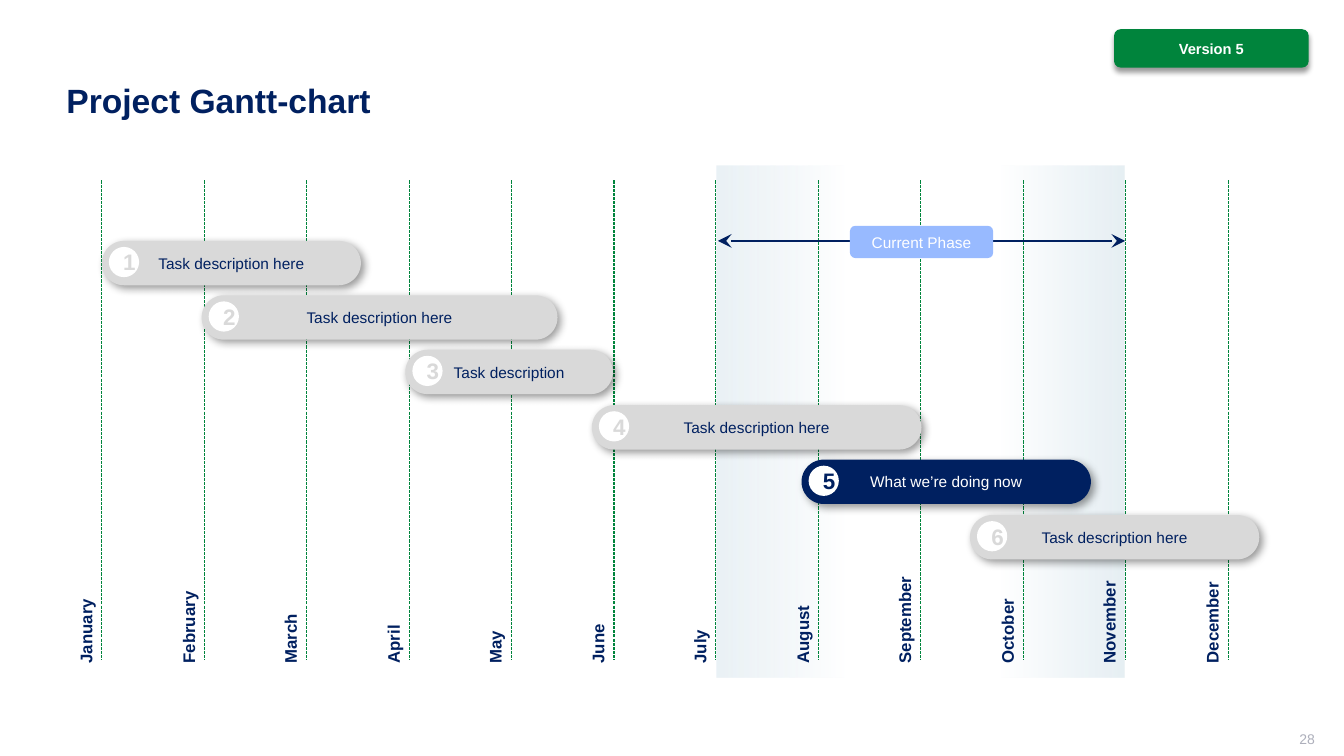
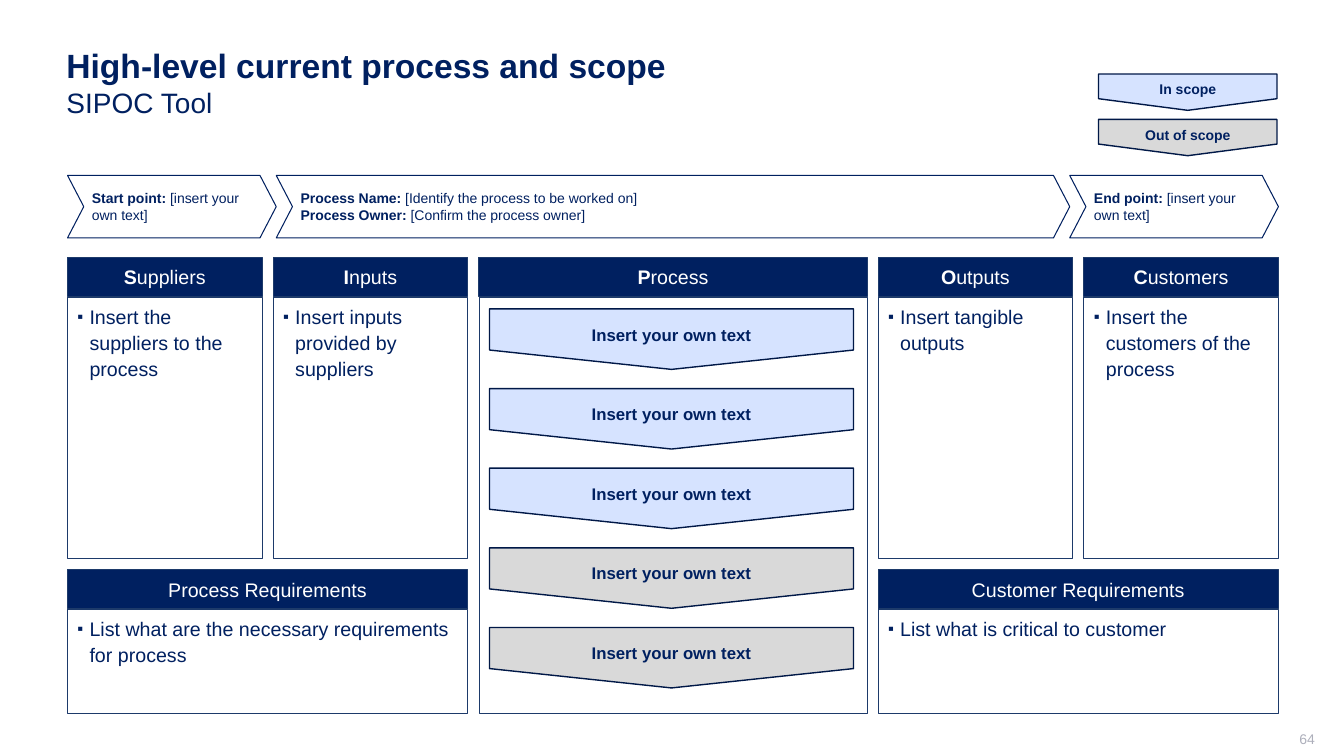
import itertools

import lxml.etree
import pptx
import pptx.dml.color
import pptx.enum.dml
import pptx.enum.shapes
import pptx.enum.text
import pptx.oxml.ns
import pptx.util

SHAPE = pptx.enum.shapes.MSO_SHAPE
ALIGN = pptx.enum.text.PP_ALIGN
ANCHOR = pptx.enum.text.MSO_ANCHOR

NAVY, GREEN, WHITE = "002060", "00843C", "FFFFFF"
GREY, PALE_BLUE, PHASE_BLUE = "D9D9D9", "D6E3FF", "98BAFF"
FRAME, PLATE_EDGE, PAGE_GREY, MIST = "1D3A6A", "001847", "ADAFBB", "E5EEF3"


def px(length):
    """Turn px, 100 to the inch, into EMU."""
    return pptx.util.Emu(length * 9144)


def color(hex_value):
    """Turn a hex string into a colour."""
    return pptx.dml.color.RGBColor.from_string(hex_value)


def add_xml(parent, tag, **attributes):
    """Append one drawing element with its attributes."""
    values = {key: str(int(value)) if isinstance(value, int) else value
              for key, value in attributes.items()}
    return lxml.etree.SubElement(parent, pptx.oxml.ns.qn(tag), values)


def set_all(target, values):
    """Set every attribute named in a dict."""
    for name, value in values.items():
        setattr(target, name, value)


class Deck:
    """Hold the shared style and the current slide."""

    font = {"name": "Arial", "bold": False}

    def __init__(self):
        """Start an empty wide presentation."""
        self.show = pptx.Presentation()
        set_all(self.show, {"slide_width": px(1333), "slide_height": px(750)})

    def new_slide(self, title, page, anchor):
        """Add a slide with its title and page number."""
        self.slide = self.show.slides.add_slide(self.show.slide_layouts[6])
        self.text((56, 40, 1211, 119), title, 24, anchor=anchor)
        self.text((1004, 725, 300, 21), page, 10, PAGE_GREY,
                  align=ALIGN.RIGHT, insets=(10, 0, 0, 5))

    def fill_text(self, shape, content, size, ink=NAVY, bold=False,
                  align=ALIGN.LEFT, anchor=ANCHOR.MIDDLE, insets=(10, 5, 10, 5)):
        """Fill a shape with text, given whole or as paragraphs of runs."""
        frame = shape.text_frame
        sides = ("margin_left", "margin_top", "margin_right", "margin_bottom")
        set_all(frame, {"word_wrap": True, "vertical_anchor": anchor,
                        **dict(zip(sides, map(px, insets)))})
        paragraphs = [[(content, {})]] if isinstance(content, str) else content
        for index, runs in enumerate(paragraphs):
            paragraph = frame.add_paragraph() if index else frame.paragraphs[0]
            paragraph.alignment = align
            for words, changes in runs:
                run = paragraph.add_run()
                run.text = words
                set_all(run.font, {**self.font, "size": pptx.util.Pt(size),
                                   "bold": bold, **changes})
                run.font.color.rgb = color(ink)

    def text(self, box, content, size, ink=NAVY, rotation=0, **style):
        """Add a text box."""
        label = self.slide.shapes.add_textbox(*map(px, box))
        label.rotation = rotation
        self.fill_text(label, content, size, ink, **style)

    def shape(self, kind, box, fill, edge=None, weight=0.75, adjust=None):
        """Add a flat preset shape."""
        shape = self.slide.shapes.add_shape(kind, *map(px, box))
        shape.shadow.inherit = False
        shape.fill.solid()
        shape.fill.fore_color.rgb = color(fill)
        if edge:
            shape.line.color.rgb = color(edge)
            shape.line.width = pptx.util.Pt(weight)
        else:
            shape.line.fill.background()
        if adjust is not None:
            shape.adjustments[0] = adjust
        return shape

    def cast_shadow(self, shape, blur, angle):
        """Give a shape a soft shadow."""
        effects = shape.element.spPr.find(pptx.oxml.ns.qn("a:effectLst"))
        shadow = add_xml(effects, "a:outerShdw", blurRad=pptx.util.Pt(blur),
                         dist=pptx.util.Pt(3), dir=angle * 60000,
                         algn="t", rotWithShape=0)
        black = add_xml(shadow, "a:srgbClr", val="000000")
        add_xml(black, "a:alpha", val=40000)

    def fading_band(self, box):
        """Add a band whose two sides fade to white in the middle."""
        band = self.shape(SHAPE.RECTANGLE, box, WHITE)
        band.fill.gradient()
        band.fill.gradient_angle = 180
        stops = band.element.spPr.find(".//" + pptx.oxml.ns.qn("a:gsLst"))
        stops.clear()
        for place, tint, opacity in ((1, MIST, 93), (31, WHITE, 100),
                                     (68, WHITE, 100), (100, MIST, 81)):
            stop = add_xml(stops, "a:gs", pos=place * 1000)
            shade = add_xml(stop, "a:srgbClr", val=tint)
            add_xml(shade, "a:alpha", val=opacity * 1000)

    def line(self, start, end, ink, weight, dashed=False, arrows=False):
        """Add a straight line, dashed or with two arrowheads."""
        line = self.slide.shapes.add_connector(
            pptx.enum.shapes.MSO_CONNECTOR.STRAIGHT, *map(px, start + end))
        line.line.color.rgb = color(ink)
        line.line.width = pptx.util.Pt(weight)
        if dashed:
            line.line.dash_style = pptx.enum.dml.MSO_LINE.SQUARE_DOT
        if arrows:
            stroke = line.element.spPr.find(pptx.oxml.ns.qn("a:ln"))
            for tip in ("a:headEnd", "a:tailEnd"):
                add_xml(stroke, tip, type="stealth", w="lg", len="lg")
        add_xml(line.element.spPr, "a:effectLst")

    def task(self, left, top, width, number, words, current):
        """Add a task bar with its numbered badge."""
        fill, ink = (NAVY, WHITE) if current else (GREY, NAVY)
        bar = self.shape(SHAPE.ROUNDED_RECTANGLE, (left, top, width, 44),
                         fill, adjust=0.5)
        self.cast_shadow(bar, 6, 45)
        self.fill_text(bar, words, 11, ink, align=ALIGN.CENTER)
        badge = self.shape(SHAPE.OVAL, (left + 7, top + 6, 30, 30), WHITE)
        self.fill_text(badge, str(number), 16, fill, bold=True,
                       align=ALIGN.CENTER)

    def plate(self, left, top, width, height, words, size, in_scope):
        """Add a step plate that points down."""
        turned = (left + (width - height) // 2, top - (width - height) // 2,
                  height, width)
        plate = self.shape(SHAPE.PENTAGON, turned,
                           PALE_BLUE if in_scope else GREY,
                           PLATE_EDGE, 1, 0.32)
        plate.rotation = 90
        self.fill_text(plate, words, size, bold=True, align=ALIGN.CENTER)
        plate.element.txBody.bodyPr.set("vert", "vert270")

    def panel(self, left, top, width, height, heading, words=None):
        """Add a framed panel with a heading band and a bullet."""
        body = self.shape(SHAPE.RECTANGLE, (left, top + 40, width, height - 40),
                          WHITE, FRAME, 0.5)
        if words:
            self.fill_text(body, words, 14, anchor=ANCHOR.TOP,
                           insets=(10, 5, 10, 10))
            bullet = body.text_frame.paragraphs[0]
            bullet.line_spacing = 1.1
            marks = bullet._p.get_or_add_pPr()
            marks.set("marL", str(int(px(12))))
            marks.set("indent", str(int(px(-12))))
            add_xml(marks, "a:buSzPct", val=85000)
            add_xml(marks, "a:buFont", typeface="Arial")
            add_xml(marks, "a:buChar", char="▪")
        band = self.shape(SHAPE.RECTANGLE, (left, top, width, 39), NAVY, FRAME)
        self.fill_text(band, heading, 14, WHITE, align=ALIGN.CENTER,
                       insets=(10, 3, 10, 3))


def gantt_slide(deck):
    """Build the project plan by month."""
    deck.new_slide([[("Project Gantt-chart", {"bold": True})]], "28",
                   ANCHOR.MIDDLE)
    deck.fading_band((711, 164, 404, 508))
    months = ("January", "February", "March", "April", "May", "June", "July",
              "August", "September", "October", "November", "December")
    for index, month in enumerate(months):
        month_x = 101 + (203 * index + 1) // 2
        deck.line((month_x, 179), (month_x, 655), GREEN, 0.75, dashed=True)
        deck.text((month_x - 79, 590, 126, 30), month, 12, rotation=270,
                  bold=True, anchor=ANCHOR.TOP)
    tasks = ((101, 257, "Task description here"),
             (200, 353, "Task description here"),
             (402, 206, "Task description"),
             (587, 327, "Task description here"),
             (795, 287, "What we’re doing now"),
             (962, 287, "Task description here"))
    for index, (left, width, words) in enumerate(tasks):
        deck.task(left, 239 + index * 272 // 5, width, index + 1, words,
                  current=index == 4)
    deck.line((712, 239), (1116, 239), NAVY, 1.5, arrows=True)
    phase = deck.shape(SHAPE.ROUNDED_RECTANGLE, (843, 224, 142, 32), PHASE_BLUE)
    deck.fill_text(phase, "Current Phase", 11, WHITE, align=ALIGN.CENTER)
    version = deck.shape(SHAPE.ROUNDED_RECTANGLE, (1105, 29, 193, 38), GREEN)
    deck.cast_shadow(version, 4, 90)
    deck.fill_text(version, "Version 5", 10.5, WHITE, bold=True,
                   align=ALIGN.CENTER)


def sipoc_slide(deck):
    """Build the process scope overview."""
    strong = {"bold": True}
    deck.new_slide([[("High-level current process and scope", strong)],
                    [("SIPOC Tool", {"size": pptx.util.Pt(20)})]], "64",
                   ANCHOR.TOP)
    edge, gap, narrow, wide = 67, 11, 193, 385

    insert = "[insert your own text]"
    flow = ((207, [[("Start point: ", strong), (insert, {})]]),
            (787, [[("Process Name:", strong),
                    (" [Identify the process to be worked on]", {})],
                   [("Process Owner: ", strong),
                    ("[Confirm the process owner]", {})]]),
            (207, [[("End point: ", strong), (insert, {})]]))
    flow_lefts = itertools.accumulate((width for width, _ in flow), initial=edge)
    for left, (width, content) in zip(flow_lefts, flow):
        chevron = deck.shape(SHAPE.CHEVRON, (left, 174, width, 62), WHITE,
                             NAVY, adjust=0.26)
        deck.fill_text(chevron, content, 10, insets=(8, 0, 8, 0))

    columns = (("Suppliers", narrow, 299, "Insert the suppliers to the process"),
               ("Inputs", narrow, 299, "Insert inputs provided by suppliers"),
               ("Process", wide, 453, None),
               ("Outputs", narrow, 299, "Insert tangible outputs"),
               ("Customers", narrow, 299, "Insert the customers of the process"))
    lefts = list(itertools.accumulate((column[1] + gap for column in columns),
                                      initial=edge))
    for left, (name, width, height, words) in zip(lefts, columns):
        heading = [[(name[0], strong), (name[1:], {})]]
        deck.panel(left, 255, width, height, heading, words)

    requirements = (
        (lefts[0], "Process Requirements",
         "List what are the necessary requirements for process"),
        (lefts[3], "Customer Requirements", "List what is critical to customer"))
    for left, heading, words in requirements:
        deck.panel(left, 565, 2 * narrow + gap, 143, heading, words)

    for step in range(5):
        deck.plate(lefts[2] + 11, 306 + 79 * step, 361, 60,
                   "Insert your own text", 12, in_scope=step < 3)
    for row, words in enumerate(("In scope", "Out of scope")):
        deck.plate(1090, 73 + 45 * row, 177, 36, words, 10, in_scope=row == 0)


def main():
    """Build and save both slides."""
    deck = Deck()
    gantt_slide(deck)
    sipoc_slide(deck)
    deck.show.save("out.pptx")


if __name__ == "__main__":
    main()
